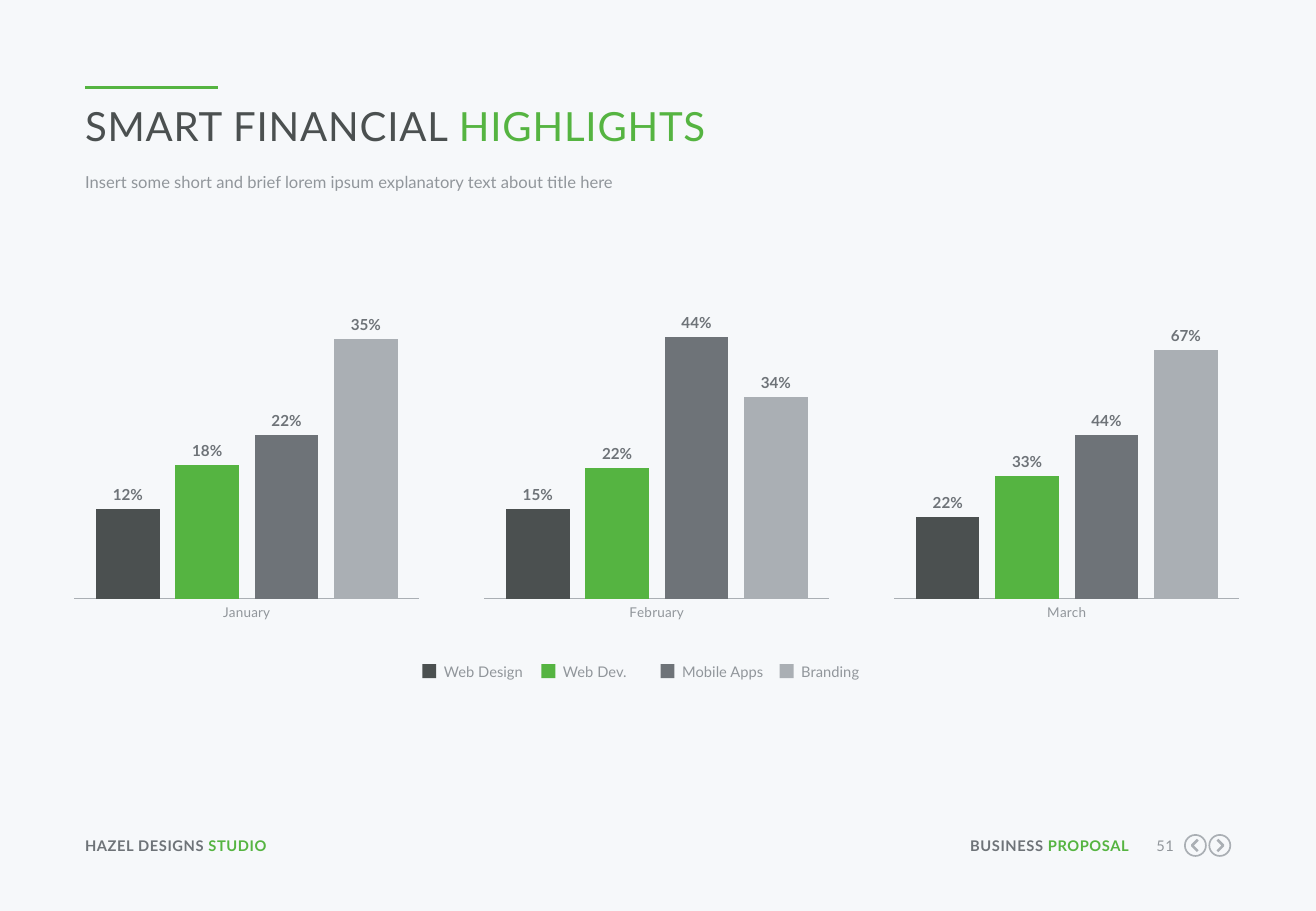
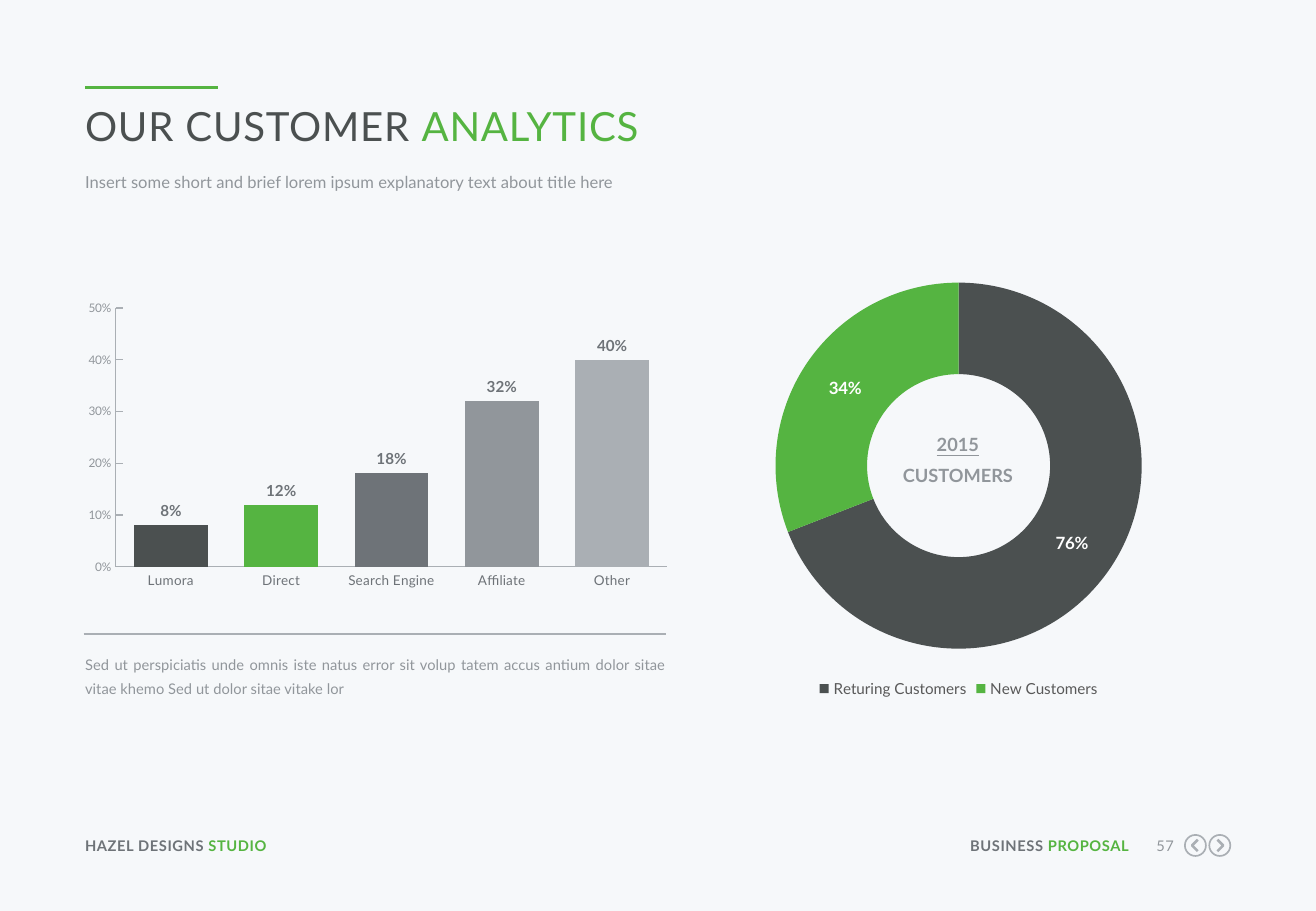
from lxml import etree
from pptx import Presentation
from pptx import util as u
from pptx.chart.data import CategoryChartData
from pptx.dml.color import RGBColor
from pptx.enum import chart as ch, shapes, text
from pptx.oxml import ns

COLORS = {
    "paper": "F6F8FA", "green": "55B441", "dark": "4B5050", "slate": "6E7378",
    "gray": "91969B", "silver": "AAAFB4", "white": "FFFFFF", "legend": "595959",
}
FONT = "Lato"
MARGIN = 1.78
SUBTITLE = "Insert some short and brief lorem ipsum explanatory text about title here"
ALIGN = text.PP_ALIGN


def rgb(name):
    return RGBColor.from_string(COLORS[name])


class Deck:
    def __init__(self):
        self.prs = Presentation()
        self.prs.slide_width, self.prs.slide_height = u.Cm(27.51), u.Cm(19.05)
        self.s = None

    def slide(self, title, accent, number):
        self.s = self.prs.slides.add_slide(self.prs.slide_layouts[6])
        fill = self.s.background.fill
        fill.solid()
        fill.fore_color.rgb = rgb("paper")
        self.line(MARGIN, 1.83, 4.55, "green", 2.25)
        self.text((MARGIN, 17.5, 5.36, 0.38),
                  [[("HAZEL DESIGNS ", "slate"), ("STUDIO", "green")]], bold=True, spc=30)
        self.text((20.12, 17.5, 3.48, 0.38),
                  [[("BUSINESS ", "slate"), ("PROPOSAL", "green")]],
                  bold=True, spc=30, align=ALIGN.RIGHT)
        self.text((23.9, 17.5, 0.64, 0.38), [[(number, "gray")]], spc=30, align=ALIGN.RIGHT)
        self.nav_button(24.99, -1)
        self.nav_button(25.5, 1)
        self.text((MARGIN, 2.13, 23.93, 1.04),
                  [[(title + " ", "dark"), (accent, "green")]], size=23.8, spc=50)
        self.text((MARGIN, 3.56, 23.93, 0.53), [[(SUBTITLE, "gray")]], size=9.8, leading=13)

    def text(self, box, paragraphs, size=8.7, bold=False, spc=0, align=ALIGN.LEFT,
             leading=None, underlined=()):
        tf = self.s.shapes.add_textbox(*map(u.Cm, box)).text_frame
        tf.word_wrap = True
        tf.margin_left = tf.margin_right = tf.margin_top = tf.margin_bottom = 0
        for i, runs in enumerate(paragraphs):
            p = tf.paragraphs[0] if i == 0 else tf.add_paragraph()
            p.alignment = align
            if leading:
                p.line_spacing = u.Pt(leading)
            for content, color in runs:
                r = p.add_run()
                r.text = content
                self.style(r.font, size, color, bold)
                if i in underlined:
                    r.font.underline = True
                if spc:
                    r.font._element.set("spc", str(spc))

    def style(self, font, size, color, bold=False):
        font.name, font.size, font.bold = FONT, u.Pt(size), bold
        font.color.rgb = rgb(color)

    def line(self, left, top, right, color, width):
        cx = self.s.shapes.add_connector(
            shapes.MSO_CONNECTOR.STRAIGHT, *map(u.Cm, (left, top, right, top)))
        cx.line.color.rgb = rgb(color)
        cx.line.width = u.Pt(width)
        etree.SubElement(cx._element.spPr, ns.qn("a:effectLst"))

    def outline(self, sp, width):
        sp.shadow.inherit = False
        sp.fill.background()
        sp.line.color.rgb = rgb("silver")
        sp.line.width = u.Pt(width)

    def nav_button(self, x, direction):
        y, radius = 17.68, 0.22
        ring = self.s.shapes.add_shape(
            shapes.MSO_SHAPE.OVAL,
            *map(u.Cm, (x - radius, y - radius, 2 * radius, 2 * radius)))
        self.outline(ring, 1)
        back, tip = x - 0.05 * direction, x + 0.07 * direction
        fb = self.s.shapes.build_freeform(u.Cm(back), u.Cm(y - 0.12))
        fb.add_line_segments([(u.Cm(tip), u.Cm(y)), (u.Cm(back), u.Cm(y + 0.12))], close=False)
        self.outline(fb.convert_to_shape(), 1.5)

    def square(self, left, top, side, color):
        sp = self.s.shapes.add_shape(
            shapes.MSO_SHAPE.RECTANGLE, *map(u.Cm, (left, top, side, side)))
        sp.shadow.inherit = False
        sp.fill.solid()
        sp.fill.fore_color.rgb = rgb(color)
        sp.line.fill.background()

    def chart(self, kind, box, cats, series, size=8):
        data = CategoryChartData(number_format="0%")
        data.categories = cats
        for name, values in series:
            data.add_series(name, values)
        chart = self.s.shapes.add_chart(kind, *map(u.Cm, box), data).chart
        chart.has_title = chart.has_legend = False
        self.style(chart.font, size, "gray")
        return chart

    def paint(self, target, color):
        target.format.fill.solid()
        target.format.fill.fore_color.rgb = rgb(color)

    def labels(self, series, size, color):
        dl = series.data_labels
        dl.show_value = True
        dl.number_format, dl.number_format_is_linked = "0%", False
        self.style(dl.font, size, color, True)
        return dl

    def axis(self, axis, size, color, tick):
        axis.has_major_gridlines = False
        axis.major_tick_mark, axis.minor_tick_mark = tick, ch.XL_TICK_MARK.NONE
        axis.format.line.color.rgb = rgb("silver")
        axis.format.line.width = u.Pt(0.75)
        self.style(axis.tick_labels.font, size, color)

    def columns(self, box, cats, series, colors, gap, overlap=0, cat_color="gray", scale=None):
        chart = self.chart(ch.XL_CHART_TYPE.COLUMN_CLUSTERED, box, cats, series)
        plot = chart.plots[0]
        plot.vary_by_categories = False
        plot.gap_width, plot.overlap = gap, overlap
        for ser, color in zip(plot.series, colors):
            self.paint(ser, color)
            self.labels(ser, 9, "slate").position = ch.XL_LABEL_POSITION.OUTSIDE_END
        if len(series) == 1:
            for i, color in enumerate(colors):
                self.paint(plot.series[0].points[i], color)
        self.axis(chart.category_axis, 8, cat_color, ch.XL_TICK_MARK.NONE)
        va = chart.value_axis
        self.axis(va, 7, "gray", ch.XL_TICK_MARK.INSIDE)
        va.tick_labels.number_format = "0%"
        va.tick_labels.number_format_is_linked = False
        va.visible = scale is not None
        if scale:
            va.minimum_scale, va.maximum_scale, va.major_unit = scale

    def doughnut(self, box, cats, series, colors, hole):
        chart = self.chart(ch.XL_CHART_TYPE.DOUGHNUT, box, cats, [series], 10)
        ser = chart.plots[0].series[0]
        for i, color in enumerate(colors):
            self.paint(ser.points[i], color)
        self.labels(ser, 10, "white")
        chart._chartSpace.xpath(".//c:holeSize")[0].set("val", str(hole))
        chart.has_legend = True
        chart.legend.position = ch.XL_LEGEND_POSITION.BOTTOM
        chart.legend.include_in_layout = False
        self.style(chart.legend.font, 9, "legend")


def highlights(deck):
    deck.slide("SMART FINANCIAL", "HIGHLIGHTS", "51")
    services = ["Web Design", "Web Dev.", "Mobile Apps", "Branding"]
    colors = ["dark", "green", "slate", "silver"]
    months = {
        "January": (0.12, 0.18, 0.22, 0.35),
        "February": (0.15, 0.22, 0.44, 0.34),
        "March": (0.22, 0.33, 0.44, 0.67),
    }
    for i, (month, shares) in enumerate(months.items()):
        series = [(name, (share,)) for name, share in zip(services, shares)]
        deck.columns((1.4 + 8.57 * i, 6.17, 7.52, 6.93), [month], series, colors, 69, -25)
    for i, (name, color) in enumerate(zip(services, colors)):
        left = 8.83 + 2.49 * i
        deck.text((left + 0.45, 13.87, 1.98, 0.38), [[(name, "gray")]])
        deck.square(left, 13.89, 0.29, color)


def analytics(deck):
    deck.slide("OUR CUSTOMER", "ANALYTICS", "57")
    deck.doughnut((14.68, 5.56, 10.72, 9.14), ["Returing Customers", "New Customers"],
                  ("Customers", (0.76, 0.34)), ["dark", "green"], 61)
    deck.text((18.36, 8.86, 3.33, 1.27), [[("2015", "gray")], [("CUSTOMERS", "gray")]],
              size=10.8, bold=True, align=ALIGN.CENTER, leading=18.4, underlined=(0,))
    deck.columns((1.6, 6.17, 12.6, 6.25),
                 ["Lumora", "Direct", "Search Engine", "Affiliate", "Other"],
                 [("Traffic", (0.08, 0.12, 0.18, 0.32, 0.4))],
                 ["dark", "green", "slate", "gray", "silver"], 50,
                 cat_color="slate", scale=(0, 0.5, 0.1))
    deck.text((MARGIN, 13.59, 12.14, 0.99),
              [[("Sed ut perspiciatis unde omnis iste natus error sit volup tatem accus antium "
                 "dolor sitae vitae khemo Sed ut dolor sitae vitake lor", "gray")]],
              align=ALIGN.JUSTIFY, leading=14.1)
    deck.line(1.75, 13.26, 13.92, "silver", 0.75)


def main():
    deck = Deck()
    highlights(deck)
    analytics(deck)
    deck.prs.save("out.pptx")


if __name__ == "__main__":
    main()
